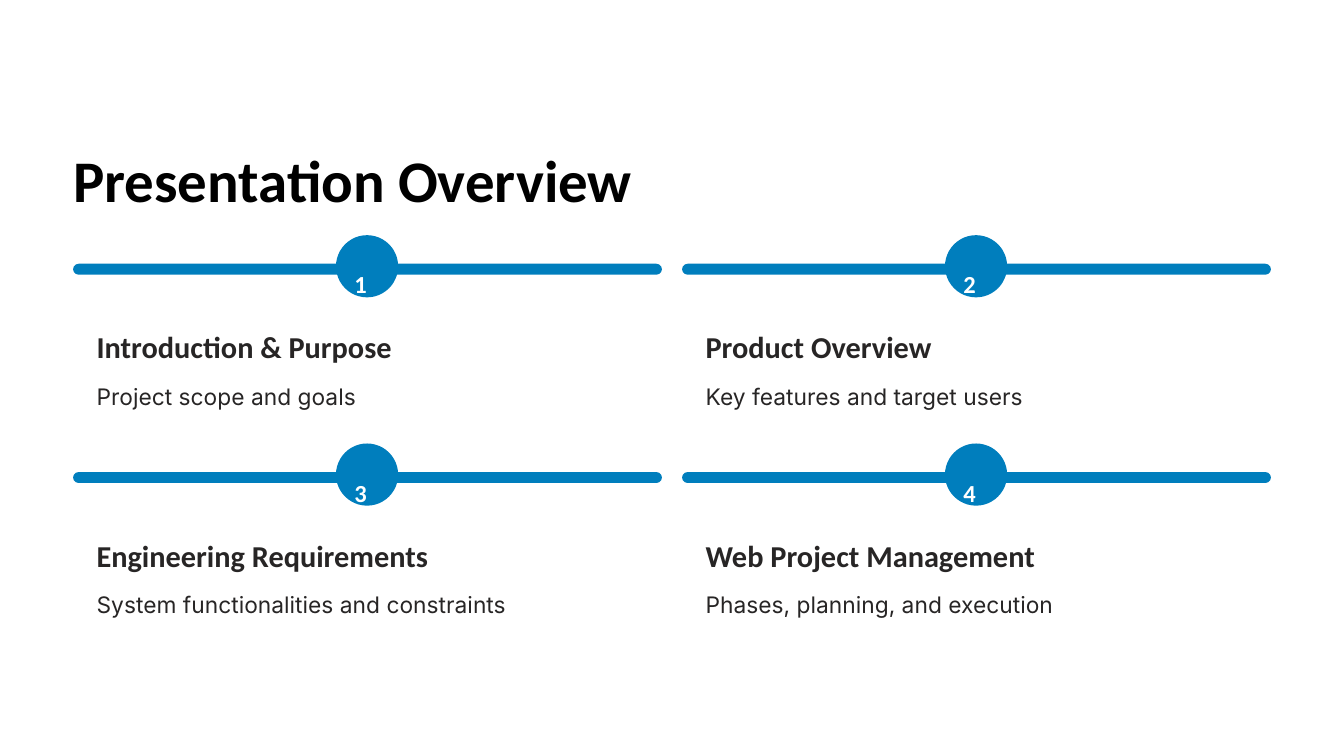
from lxml.etree import SubElement
from pptx import Presentation
from pptx.dml.color import RGBColor
from pptx.enum.shapes import MSO_SHAPE
from pptx.enum.text import MSO_ANCHOR, MSO_AUTO_SIZE, PP_ALIGN
from pptx.oxml.ns import qn
from pptx.util import Inches, Pt

BLUE = RGBColor(0x00, 0x7E, 0xBD)
WHITE = RGBColor(0xFF, 0xFF, 0xFF)
BLACK = RGBColor(0x00, 0x00, 0x00)
INK = RGBColor(0x27, 0x25, 0x25)
TOPICS = [
    ("Introduction & Purpose", "Project scope and goals", 4.81),
    ("Product Overview", "Key features and target users", 3.26),
    ("Engineering Requirements", "System functionalities and constraints", 5.66),
    ("Web Project Management", "Phases, planning, and execution", 5.27),
]


class Deck:
    """Slide style and grid, with one method for each kind of element."""

    LEFT, TOP = 0.87, 3.18
    COL, ROW = 7.25, 2.48
    CARD_W, CARD_H = 7.01, 1.85
    HEAD, BODY = "Calibri", "Inter"

    def __init__(self):
        self.prs = Presentation()
        self.prs.slide_width, self.prs.slide_height = Inches(16), Inches(9)
        self.s = self.prs.slides.add_slide(self.prs.slide_layouts[5])

    def cell(self, col, row, dx, dy, w, h):
        x = self.LEFT + col * self.COL + dx
        y = self.TOP + row * self.ROW + dy
        return [Inches(v) for v in (x, y, w, h)]

    def set_text(self, sp, text, size, color, font, bold, spacing):
        tf = sp.text_frame
        tf.text = text
        tf.word_wrap = True
        tf.auto_size = MSO_AUTO_SIZE.NONE
        tf.vertical_anchor = MSO_ANCHOR.TOP
        tf.margin_left = tf.margin_right = tf.margin_top = tf.margin_bottom = 0
        p = tf.paragraphs[0]
        p.alignment = PP_ALIGN.LEFT
        p.line_spacing = spacing
        r = p.runs[0]
        r.font.name, r.font.size, r.font.bold = font, Pt(size), bold
        r.font.color.rgb = color

    def title(self, text):
        sp = self.s.shapes.title
        sp.left, sp.top, sp.width, sp.height = self.cell(0, 0, 0, -1.69, 11.91, 0.81)
        self.set_text(sp, text, 50.5, BLACK, self.HEAD, True, 1.26)

    def text(self, box, text, size, color=INK, font=HEAD, bold=True, spacing=1.26):
        sp = self.s.shapes.add_textbox(*box)
        self.set_text(sp, text, size, color, font, bold, spacing)

    def block(self, box, color, radius=0.5, alpha=None):
        sp = self.s.shapes.add_shape(MSO_SHAPE.ROUNDED_RECTANGLE, *box)
        sp.adjustments[0] = radius
        sp.shadow.inherit = False
        sp.fill.solid()
        sp.fill.fore_color.rgb = color
        sp.line.fill.background()
        if alpha is not None:
            clr = sp._element.spPr.find(qn("a:solidFill")).find(qn("a:srgbClr"))
            SubElement(clr, qn("a:alpha")).set("val", str(alpha * 1000))

    def card(self, col, row, number, heading, detail, width):
        self.block(self.cell(col, row, 0, 0, self.CARD_W, self.CARD_H), WHITE, 0.09, 75)
        self.block(self.cell(col, row, 0, -0.04, self.CARD_W, 0.13), BLUE)
        self.block(self.cell(col, row, 3.13, -0.38, 0.74, 0.74), BLUE)
        self.text(self.cell(col, row, 3.35, -0.19, 0.3, 0.37), str(number), 21,
                  WHITE, spacing=1.62)
        self.text(self.cell(col, row, 0.28, 0.62, width, 0.41), heading, 26)
        self.text(self.cell(col, row, 0.28, 1.17, 6.45, 0.4), detail, 19.5,
                  font=self.BODY, bold=False, spacing=1.63)


def main():
    deck = Deck()
    deck.title("Presentation Overview")
    for i, (heading, detail, width) in enumerate(TOPICS):
        row, col = divmod(i, 2)
        deck.card(col, row, i + 1, heading, detail, width)
    deck.prs.save("out.pptx")


if __name__ == "__main__":
    main()
